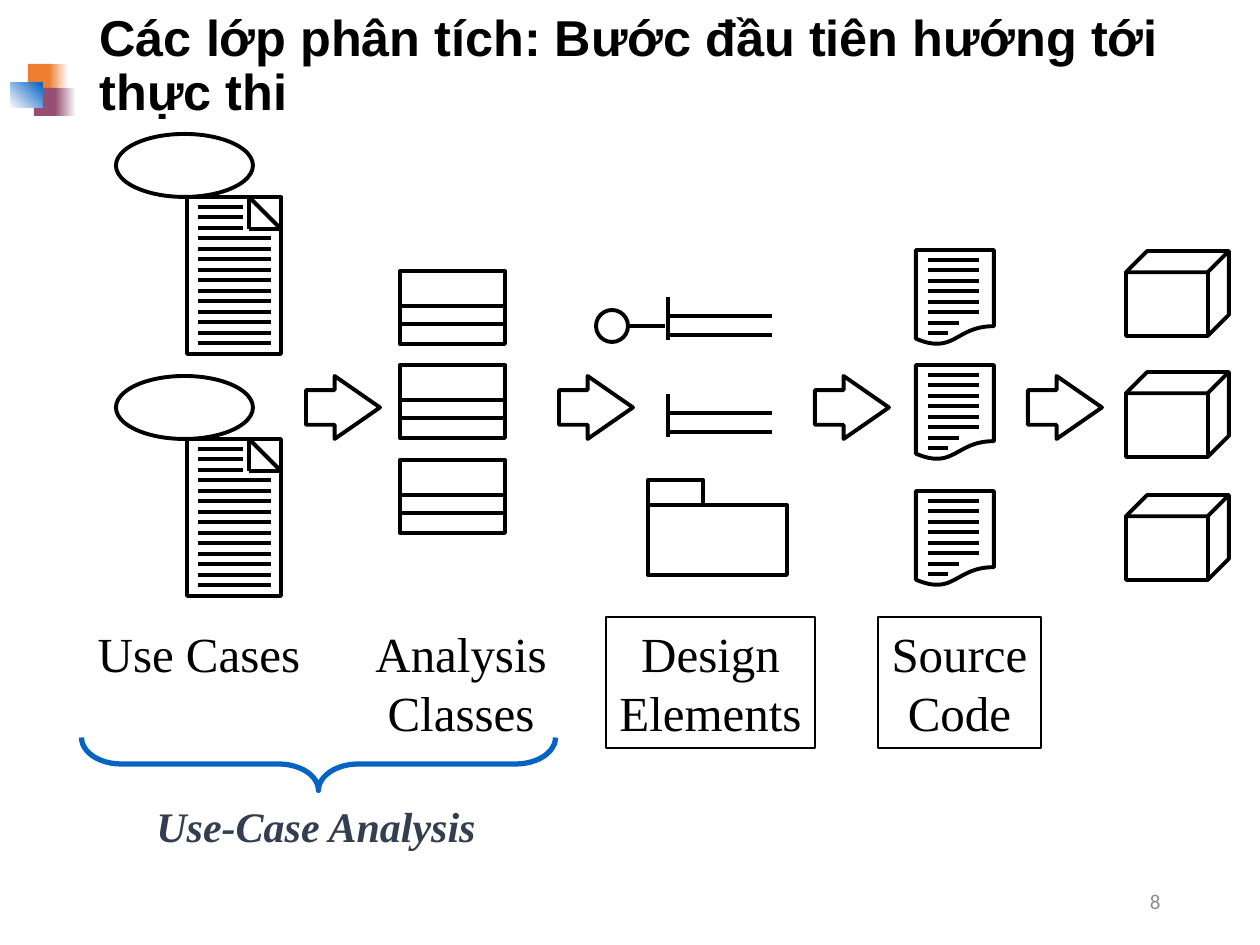
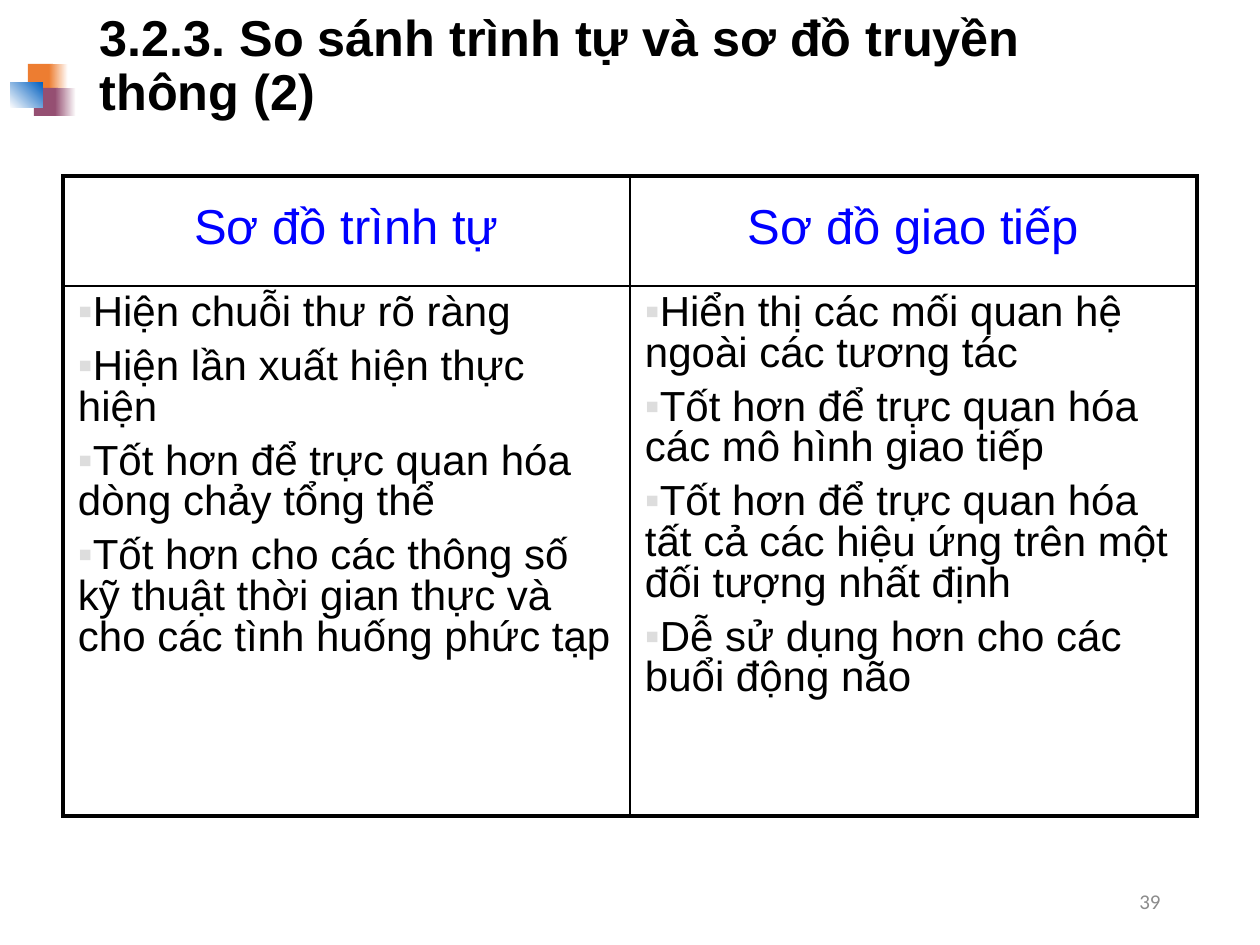
from dataclasses import dataclass
from typing import Optional

from lxml.etree import SubElement
from pptx import Presentation
from pptx.dml.color import RGBColor
from pptx.enum.shapes import MSO_CONNECTOR, MSO_SHAPE
from pptx.enum.text import MSO_ANCHOR, MSO_AUTO_SIZE, PP_ALIGN
from pptx.oxml import parse_xml
from pptx.oxml.ns import nsdecls, qn
from pptx.util import Emu, Pt

PX_PER_INCH = 126
BLACK, WHITE, BLUE, ORANGE, PLUM = "000000", "FFFFFF", "0563C1", "ED7D31", "954F72"
HEADER_BLUE, SLATE, GREY, BULLET_GREY = "0000FF", "333F50", "8C8C8C", "DDDDDD"
SANS, SERIF, NUMBER_FONT = "Arial", "Times New Roman", "Calibri"
OUTLINE = 2.25
THIN = 1


@dataclass(frozen=True)
class Box:
    left: int
    top: int
    width: int
    height: int

    def emu(self) -> list[Emu]:
        return [px(value) for value in (self.left, self.top, self.width, self.height)]


@dataclass(frozen=True)
class LogoTile:
    box: Box
    start: str
    end: Optional[str] = None
    angle: int = 0


@dataclass(frozen=True)
class Label:
    text: str
    box: Box
    framed: bool = False


@dataclass(frozen=True)
class TextStyle:
    font: str
    size: float
    color: str = BLACK
    bold: bool = False
    italic: bool = False
    align: PP_ALIGN = PP_ALIGN.LEFT


TITLE_STYLE = TextStyle(SANS, 28.8, bold=True)
NUMBER_STYLE = TextStyle(NUMBER_FONT, 12, GREY, align=PP_ALIGN.RIGHT)
LABEL_STYLE = TextStyle(SERIF, 28, align=PP_ALIGN.CENTER)
PHASE_STYLE = TextStyle(SERIF, 24, SLATE, True, True, PP_ALIGN.CENTER)
HEADER_STYLE = TextStyle(SANS, 28, HEADER_BLUE, align=PP_ALIGN.CENTER)
CELL_STYLE = TextStyle(SANS, 24)

LOGO = [
    LogoTile(Box(28, 64, 25, 28), ORANGE),
    LogoTile(Box(49, 64, 19, 28), ORANGE, WHITE),
    LogoTile(Box(34, 88, 24, 28), PLUM),
    LogoTile(Box(55, 88, 21, 28), PLUM, WHITE),
    LogoTile(Box(10, 83, 33, 25), WHITE, BLUE, 45),
]
LABELS = [
    Label("Use Cases", Box(66, 617, 266, 72)),
    Label("Analysis\vClasses", Box(357, 617, 208, 130)),
    Label("Design\vElements", Box(606, 617, 209, 131), framed=True),
    Label("Source\nCode", Box(878, 617, 163, 131), framed=True),
]
COMPARISON = {
    "Sơ đồ trình tự": [
        "Hiện chuỗi thư rõ ràng",
        "Hiện lần xuất hiện thực hiện",
        "Tốt hơn để trực quan hóa dòng chảy tổng thể",
        "Tốt hơn cho các thông số kỹ thuật thời gian thực và cho các tình huống phức tạp",
    ],
    "Sơ đồ giao tiếp": [
        "Hiển thị các mối quan hệ ngoài các tương tác",
        "Tốt hơn để trực quan hóa các mô hình giao tiếp",
        "Tốt hơn để trực quan hóa tất cả các hiệu ứng trên một đối tượng nhất định",
        "Dễ sử dụng hơn cho các buổi động não",
    ],
}


# Basic drawing
def px(value: int) -> Emu:
    return Emu(round(value * 914400 / PX_PER_INCH))


def rgb(color: str) -> RGBColor:
    return RGBColor.from_string(color)


def style_text(frame, style: TextStyle, spacing: Optional[float] = None) -> None:
    for paragraph in frame.paragraphs:
        paragraph.alignment = style.align
        paragraph.line_spacing = spacing
        font = paragraph.font
        font.name, font.size = style.font, Pt(style.size)
        font.bold, font.italic = style.bold, style.italic
        font.color.rgb = rgb(style.color)


def add_outline(shapes, kind: MSO_SHAPE, box: Box, adjustments=(),
                color: str = BLACK, weight: float = OUTLINE):
    shape = shapes.add_shape(kind, *box.emu())
    shape.shadow.inherit = False
    shape.fill.background()
    shape.line.color.rgb = rgb(color)
    shape.line.width = Pt(weight)
    for index, value in enumerate(adjustments):
        shape.adjustments[index] = value
    return shape


def add_line(shapes, x1: int, y1: int, x2: int, y2: int) -> None:
    line = shapes.add_connector(MSO_CONNECTOR.STRAIGHT, px(x1), px(y1), px(x2), px(y2))
    line.line.color.rgb = rgb(BLACK)
    line.line.width = Pt(OUTLINE)
    SubElement(line._element.spPr, qn("a:effectLst"))


def add_text_lines(shapes, left: int, top: int, right_ends: list[int]) -> None:
    """Draw ruled lines twelve to the inch."""
    for index, right in enumerate(right_ends):
        y = top + index * PX_PER_INCH // 12
        add_line(shapes, left, y, right, y)


def add_text(slide, text: str, box: Box, style: TextStyle, wrap: bool = True):
    text_box = slide.shapes.add_textbox(*box.emu())
    frame = text_box.text_frame
    frame.text = text
    frame.word_wrap = wrap
    style_text(frame, style)
    return text_box


# Shared slide frame
def add_logo_tile(shapes, tile: LogoTile) -> None:
    shape = shapes.add_shape(MSO_SHAPE.RECTANGLE, *tile.box.emu())
    shape.shadow.inherit = False
    shape.line.fill.background()
    if tile.end is None:
        shape.fill.solid()
        shape.fill.fore_color.rgb = rgb(tile.start)
        return
    shape.fill.gradient()
    shape.fill.gradient_angle = tile.angle
    for stop, color in zip(shape.fill.gradient_stops, (tile.start, tile.end)):
        stop.color.rgb = rgb(color)


def add_framed_slide(presentation, title: str, number: int):
    slide = presentation.slides.add_slide(presentation.slide_layouts[5])
    logo = slide.shapes.add_group_shape()
    for tile in LOGO:
        add_logo_tile(logo.shapes, tile)
    heading = slide.shapes.title
    heading.left, heading.top, heading.width, heading.height = Box(87, 16, 1086, 102).emu()
    frame = heading.text_frame
    frame.text = title
    frame.auto_size = MSO_AUTO_SIZE.NONE
    frame.vertical_anchor = MSO_ANCHOR.MIDDLE
    style_text(frame, TITLE_STYLE, 0.9)
    number_box = add_text(slide, str(number), Box(890, 876, 283, 50), NUMBER_STYLE)
    number_box.text_frame.vertical_anchor = MSO_ANCHOR.MIDDLE
    return slide


# Diagram icons
def add_use_case(slide, top: int) -> None:
    shapes = slide.shapes.add_group_shape().shapes
    page_top, fold_left, right, fold = top + 63, 249, 281, 32
    add_outline(shapes, MSO_SHAPE.OVAL, Box(116, top, 137, 63))
    add_outline(shapes, MSO_SHAPE.RECTANGLE, Box(187, page_top, 94, 157))
    add_line(shapes, fold_left, page_top, right, page_top + fold)
    add_line(shapes, fold_left, page_top, fold_left, page_top + fold)
    add_line(shapes, right, page_top + fold, fold_left, page_top + fold)
    add_text_lines(shapes, 198, page_top + 10, [243] * 3 + [271] * 11)


def add_analysis_class(slide, top: int) -> None:
    shapes = slide.shapes.add_group_shape().shapes
    add_outline(shapes, MSO_SHAPE.RECTANGLE, Box(400, top, 105, 73))
    for offset in (35, 53):
        add_line(shapes, 400, top + offset, 505, top + offset)


def add_design_class(slide, top: int) -> None:
    shapes = slide.shapes.add_group_shape().shapes
    add_line(shapes, 668, top, 668, top + 43)
    for offset in (19, 38):
        add_line(shapes, 668, top + offset, 772, top + offset)


def add_source_file(slide, top: int) -> None:
    shapes = slide.shapes.add_group_shape().shapes
    add_outline(shapes, MSO_SHAPE.FLOWCHART_DOCUMENT, Box(916, top, 78, 95))
    add_text_lines(shapes, 928, top + 10, [979] * 6 + [959, 948])


def add_package(slide) -> None:
    shapes = slide.shapes.add_group_shape().shapes
    for box in (Box(648, 505, 139, 70), Box(648, 480, 55, 25)):
        add_outline(shapes, MSO_SHAPE.RECTANGLE, box)


def build_process_slide(presentation) -> None:
    slide = add_framed_slide(
        presentation, "Các lớp phân tích: Bước đầu tiên hướng tới thực thi", 8)
    shapes = slide.shapes
    for top in (134, 376):
        add_use_case(slide, top)
    for top in (271, 365, 460):
        add_analysis_class(slide, top)
    for top in (297, 394):
        add_design_class(slide, top)
    add_line(shapes, 665, 326, 627, 326)
    add_outline(shapes, MSO_SHAPE.OVAL, Box(596, 310, 32, 32))
    add_package(slide)
    for top in (250, 365, 491):
        add_source_file(slide, top)
    for top in (251, 372, 495):
        add_outline(shapes, MSO_SHAPE.CUBE, Box(1126, top, 103, 85), [0.25])
    for left in (306, 559, 815, 1028):
        add_outline(shapes, MSO_SHAPE.RIGHT_ARROW, Box(left, 376, 74, 63), [0.55, 0.72])

    # Stage labels and the phase that spans the first two
    for label in LABELS:
        text_box = add_text(slide, label.text, label.box, LABEL_STYLE, wrap=False)
        if label.framed:
            text_box.line.color.rgb = rgb(BLACK)
            text_box.line.width = Pt(THIN)
    brace = add_outline(shapes, MSO_SHAPE.LEFT_BRACE, Box(292, 527, 53, 474),
                        [0.75, 0.5], BLUE, 3)
    brace.rotation = 270
    add_text(slide, "Use-Case Analysis", Box(111, 794, 410, 66), PHASE_STYLE)


# Comparison table
def set_borders(cell, weights: dict[str, float]) -> None:
    properties = cell._tc.get_or_add_tcPr()
    for index, (side, weight) in enumerate(weights.items()):
        properties.insert(index, parse_xml(
            f'<a:ln{side} {nsdecls("a")} w="{Pt(weight)}"><a:solidFill>'
            f'<a:srgbClr val="{BLACK}"/></a:solidFill></a:ln{side}>'))


def add_bullet(paragraph) -> None:
    properties = paragraph._p.get_or_add_pPr()
    properties.set("marL", "0")
    properties.set("indent", str(-Pt(18)))
    color = SubElement(properties, qn("a:buClr"))
    SubElement(color, qn("a:srgbClr"), val=BULLET_GREY)
    SubElement(properties, qn("a:buFont"), typeface=SANS)
    SubElement(properties, qn("a:buChar"), char="▪")


def fill_cell(cell, text: str, style: TextStyle, spacing: float) -> None:
    cell.fill.background()
    cell.margin_left = cell.margin_right = px(15)
    cell.margin_top = cell.margin_bottom = px(8)
    cell.text = text
    style_text(cell.text_frame, style, spacing)


def build_comparison_slide(presentation) -> None:
    slide = add_framed_slide(
        presentation, "3.2.3. So sánh trình tự và sơ đồ truyền thông (2)", 39)
    table = slide.shapes.add_table(2, 2, *Box(63, 176, 1134, 640).emu()).table
    table.first_row = table.horz_banding = False
    for row, height in zip(table.rows, (110, 530)):
        row.height = px(height)
    for column, (header, points) in enumerate(COMPARISON.items()):
        head, body = table.cell(0, column), table.cell(1, column)
        fill_cell(head, header, HEADER_STYLE, 0.8)
        head.vertical_anchor = MSO_ANCHOR.MIDDLE
        fill_cell(body, "\n".join(points), CELL_STYLE, 0.87)
        for paragraph in body.text_frame.paragraphs:
            paragraph.space_before = Pt(7.5)
            add_bullet(paragraph)
        left, right = (OUTLINE, THIN) if column == 0 else (THIN, OUTLINE)
        set_borders(head, {"L": left, "R": right, "T": OUTLINE, "B": THIN})
        set_borders(body, {"L": left, "R": right, "T": THIN, "B": OUTLINE})


def main() -> None:
    presentation = Presentation()
    presentation.slide_width, presentation.slide_height = px(1260), px(945)
    build_process_slide(presentation)
    build_comparison_slide(presentation)
    presentation.save("out.pptx")


if __name__ == "__main__":
    main()
